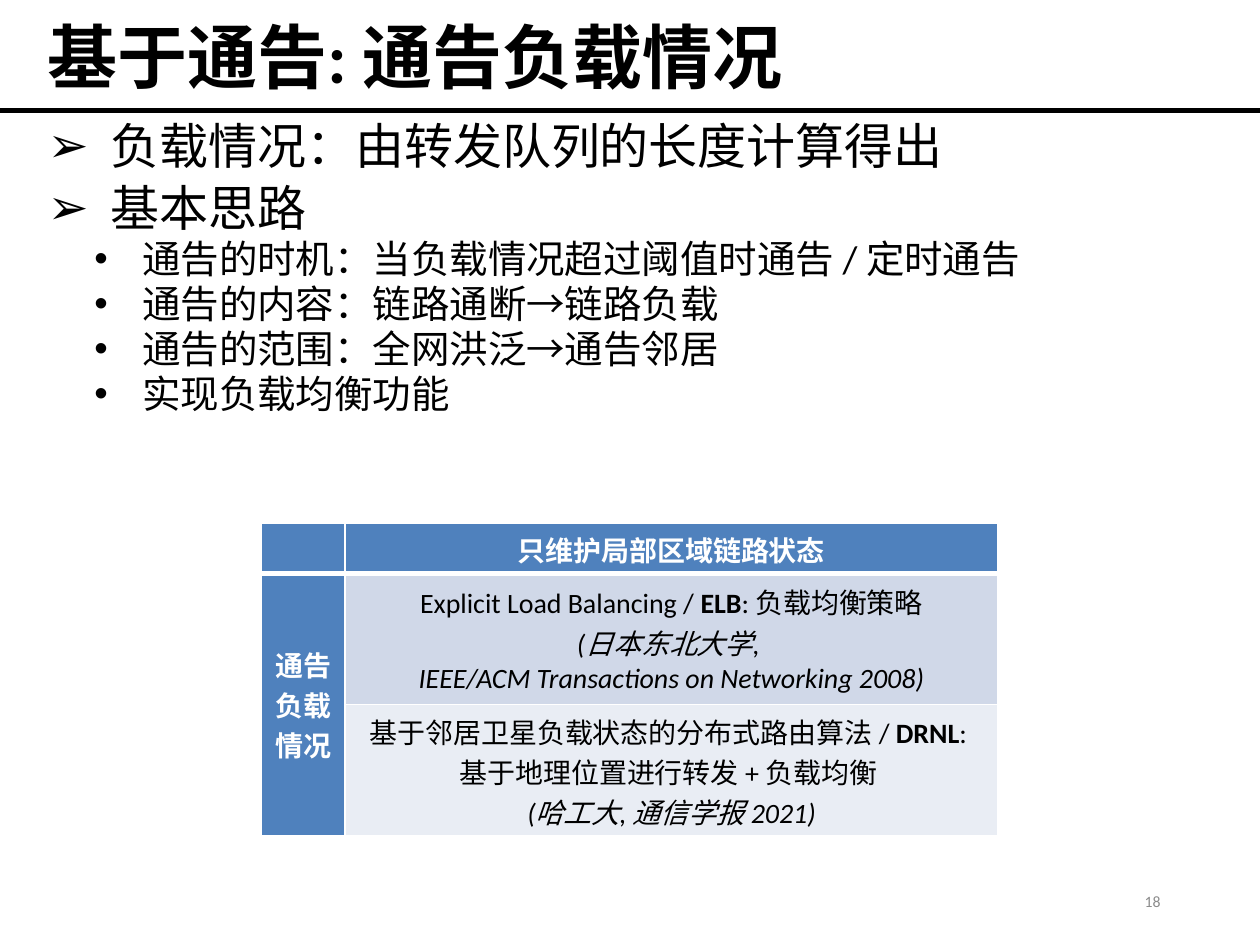
"""Build the slide on load-aware notification routing."""
from dataclasses import dataclass

from lxml.etree import SubElement
from pptx import Presentation
from pptx.dml.color import RGBColor
from pptx.enum.shapes import MSO_CONNECTOR
from pptx.enum.text import MSO_ANCHOR as Anchor, PP_ALIGN as Align
from pptx.oxml.ns import qn
from pptx.util import Pt

PX = 9144
FONT = "Calibri"
BLACK = RGBColor(0x00, 0x00, 0x00)
WHITE = RGBColor(0xFF, 0xFF, 0xFF)
GRAY = RGBColor(0x8C, 0x8C, 0x8C)
BLUE = RGBColor(0x4F, 0x81, 0xBD)
BAND_DARK = RGBColor(0xD0, 0xD8, 0xE8)
BAND_LIGHT = RGBColor(0xE9, 0xED, 0xF4)


@dataclass(frozen=True)
class Run:
    text: str
    bold: bool = False
    italic: bool = False


@dataclass(frozen=True)
class Level:
    bullet: str
    size: int
    margin: int
    hang: int
    before: float


@dataclass(frozen=True)
class Cell:
    row: int
    col: int
    fill: RGBColor
    color: RGBColor
    lines: tuple[tuple[Run, ...], ...] = ()
    vertical: bool = False


TOPIC = Level("➢", 28, 50, 50, 7.5)
DETAIL = Level("•", 22, 75, 38, 3.8)
OUTLINE = (
    (TOPIC, "负载情况：由转发队列的长度计算得出"),
    (TOPIC, "基本思路"),
    (DETAIL, "通告的时机：当负载情况超过阈值时通告 / 定时通告"),
    (DETAIL, "通告的内容：链路通断→链路负载"),
    (DETAIL, "通告的范围：全网洪泛→通告邻居"),
    (DETAIL, "实现负载均衡功能"),
)
COLS = (67, 518)
ROWS = (39, 104, 104)
CELLS = (
    Cell(0, 0, BLUE, WHITE),
    Cell(0, 1, BLUE, WHITE, ((Run("只维护局部区域链路状态", bold=True),),)),
    Cell(1, 0, BLUE, WHITE, ((Run("通告负载情况", bold=True),),), vertical=True),
    Cell(1, 1, BAND_DARK, BLACK, (
        (Run("Explicit Load Balancing / "), Run("ELB", bold=True), Run(": 负载均衡策略")),
        (Run("(日本东北大学, ", italic=True),),
        (Run("IEEE/ACM Transactions on Networking 2008)", italic=True),),
    )),
    Cell(2, 0, BLUE, WHITE),
    Cell(2, 1, BAND_LIGHT, BLACK, (
        (Run("基于邻居卫星负载状态的分布式路由算法 / "), Run("DRNL", bold=True), Run(": ")),
        (Run("基于地理位置进行转发 + 负载均衡 "),),
        (Run("(哈工大, 通信学报 2021)", italic=True),),
    )),
)


def add_run(p, run: Run, size: int, color: RGBColor) -> None:
    r = p.add_run()
    r.text = run.text
    r.font.name = FONT
    r.font.size = Pt(size)
    r.font.bold = run.bold
    r.font.italic = run.italic
    r.font.color.rgb = color


def add_box(s, x: int, y: int, w: int, h: int, anchor: Anchor):
    tf = s.shapes.add_textbox(x * PX, y * PX, w * PX, h * PX).text_frame
    tf.word_wrap = True
    tf.vertical_anchor = anchor
    return tf


def paragraph(tf, index: int):
    return tf.add_paragraph() if index else tf.paragraphs[0]


def add_rule(s, y: int, width: int) -> None:
    ln = s.shapes.add_connector(MSO_CONNECTOR.STRAIGHT, 0, y * PX, width * PX, y * PX)
    ln.line.color.rgb = BLACK
    ln.line.width = Pt(3)
    SubElement(ln._element.spPr, qn("a:effectLst"))


def add_outline(s) -> None:
    tf = add_box(s, 28, 95, 945, 567, Anchor.TOP)
    for i, (level, text) in enumerate(OUTLINE):
        p = paragraph(tf, i)
        p.level = 0 if level is TOPIC else 1
        p.space_before = Pt(level.before)
        p.line_spacing = 0.83
        ppr = p._p.get_or_add_pPr()
        ppr.set("marL", str(level.margin * PX))
        ppr.set("indent", str(-level.hang * PX))
        SubElement(ppr, qn("a:buFont"), typeface="Arial")
        SubElement(ppr, qn("a:buChar"), char=level.bullet)
        add_run(p, Run(text), level.size, BLACK)


def add_borders(cell, widths: dict[str, int]) -> None:
    tcpr = cell._tc.get_or_add_tcPr()
    for side, width in widths.items():
        ln = SubElement(tcpr, qn(f"a:ln{side}"), w=str(Pt(width)))
        fill = SubElement(ln, qn("a:solidFill"))
        SubElement(fill, qn("a:srgbClr"), val=str(WHITE))


def fill_cell(table, spec_cell: Cell) -> None:
    cell = table.cell(spec_cell.row, spec_cell.col)
    add_borders(cell, {"L": 1, "R": 1,
                       "T": 3 if spec_cell.row == 1 else 1,
                       "B": 3 if spec_cell.row == 0 else 1})
    cell.fill.solid()
    cell.fill.fore_color.rgb = spec_cell.fill
    cell.vertical_anchor = Anchor.MIDDLE
    if spec_cell.vertical:
        cell._tc.get_or_add_tcPr().set("vert", "eaVert")
    for i, line in enumerate(spec_cell.lines):
        p = paragraph(cell.text_frame, i)
        p.alignment = Align.CENTER
        for run in line:
            add_run(p, run, 16, spec_cell.color)


def add_comparison(s) -> None:
    table = s.shapes.add_table(len(ROWS), len(COLS), 207 * PX, 415 * PX,
                               sum(COLS) * PX, sum(ROWS) * PX).table
    table.first_row = table.horz_banding = False
    for col, width in zip(table.columns, COLS):
        col.width = width * PX
    for row, height in zip(table.rows, ROWS):
        row.height = height * PX
    for c in CELLS:
        fill_cell(table, c)
    table.cell(1, 0).merge(table.cell(2, 0))


def main() -> None:
    prs = Presentation()
    prs.slide_width, prs.slide_height = 1000 * PX, 750 * PX
    s = prs.slides.add_slide(prs.slide_layouts[6])
    add_rule(s, 88, 1000)

    p = add_box(s, 28, 0, 790, 96, Anchor.MIDDLE).paragraphs[0]
    p.line_spacing = 0.9
    add_run(p, Run("基于通告: 通告负载情况", bold=True), 40, BLACK)

    add_outline(s)
    add_comparison(s)

    p = add_box(s, 706, 695, 225, 40, Anchor.MIDDLE).paragraphs[0]
    p.alignment = Align.RIGHT
    add_run(p, Run("18"), 9, GRAY)
    prs.save("out.pptx")


if __name__ == "__main__":
    main()
